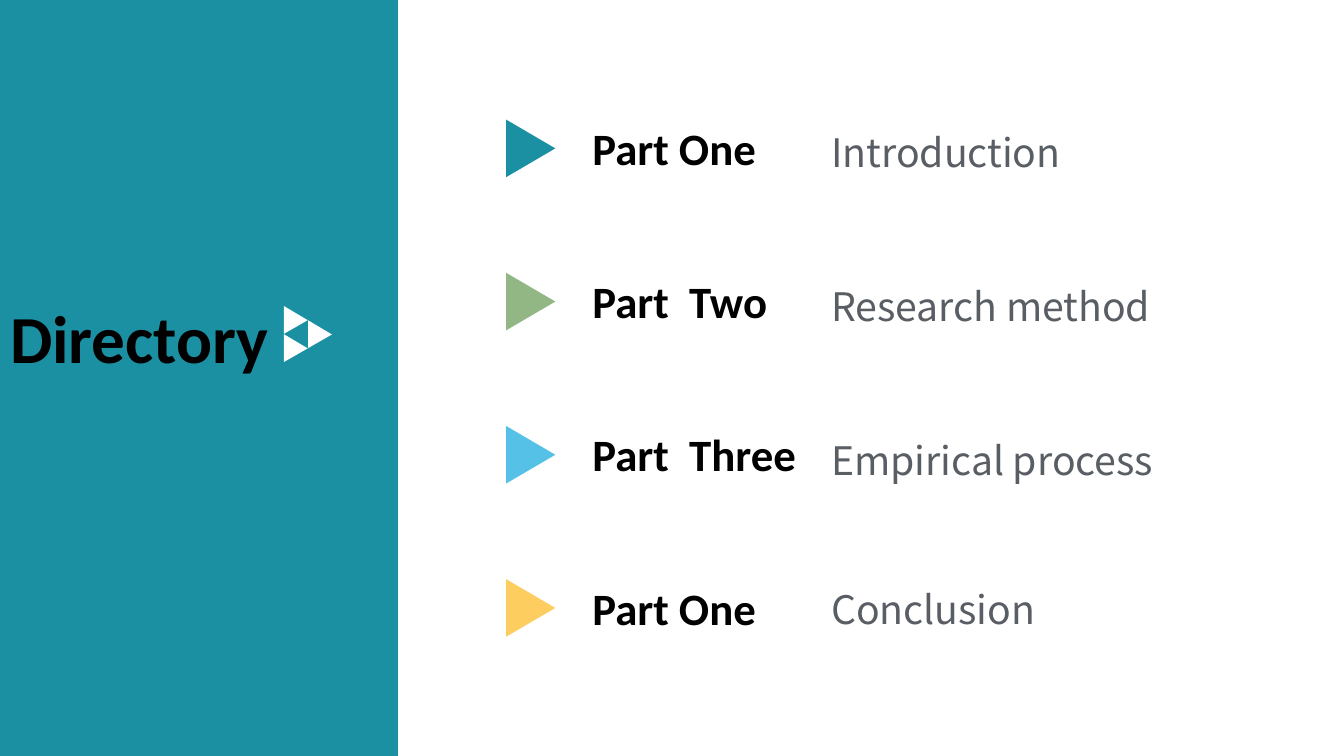
import pptx
import pptx.dml.color
import pptx.enum.shapes
import pptx.enum.text
import pptx.util

Cm = pptx.util.Cm
SHAPE = pptx.enum.shapes.MSO_SHAPE


def rgb(value):
    return pptx.dml.color.RGBColor.from_string(value)


class DirectorySlide:
    heading_font = "Calibri"
    topic_font = "Noto Sans CJK SC"
    teal = "1B90A2"
    black = "000000"
    grey = "595E64"
    white = "FFFFFF"

    def __init__(self, prs):
        self.slide = prs.slides.add_slide(prs.slide_layouts[5])

    def shape(self, kind, left, top, width, height, color, rotation=0):
        sp = self.slide.shapes.add_shape(
            kind, Cm(left), Cm(top), Cm(width), Cm(height))
        sp.rotation = rotation
        sp.shadow.inherit = False
        sp.fill.solid()
        sp.fill.fore_color.rgb = rgb(color)
        sp.line.fill.background()
        return sp

    def style_text(self, sp, text, font, size, color, bold):
        tf = sp.text_frame
        tf.text = text
        tf.word_wrap = True
        tf.auto_size = pptx.enum.text.MSO_AUTO_SIZE.SHAPE_TO_FIT_TEXT
        tf.vertical_anchor = pptx.enum.text.MSO_ANCHOR.TOP
        p = tf.paragraphs[0]
        p.alignment = pptx.enum.text.PP_ALIGN.LEFT
        r = p.runs[0]
        r.font.name = font
        r.font.size = pptx.util.Pt(size)
        r.font.bold = bold
        r.font.color.rgb = rgb(color)

    def title(self, text, left, top, width, height):
        sp = self.slide.shapes.title
        sp.left, sp.top, sp.width, sp.height = map(Cm, (left, top, width, height))
        self.style_text(sp, text, self.heading_font, 48, self.black, True)

    def text(self, text, left, top, width, height, font, size, color, bold=False):
        sp = self.slide.shapes.add_textbox(
            Cm(left), Cm(top), Cm(width), Cm(height))
        self.style_text(sp, text, font, size, color, bold)

    def side_panel(self):
        sp = self.shape(SHAPE.RECTANGLE, 0, 0, 10.03, 19.05, self.teal)
        self.slide.shapes._spTree.insert(2, sp._element)

    def emblem(self):
        for left, top in ((6.96, 7.67), (6.96, 8.38), (7.57, 8.03)):
            self.shape(SHAPE.ISOSCELES_TRIANGLE, left, top, 0.69, 0.61,
                       self.white, 330.2)

    def entry(self, row, part, topic, topic_top, color):
        offset = row * 3.86
        self.shape(SHAPE.ISOSCELES_TRIANGLE, 12.65, 3.12 + offset, 1.45, 1.24,
                   color, 90)
        self.text(part, 14.68, 2.92 + offset, 6.02, 1.63,
                  self.heading_font, 32, self.black, True)
        self.text(topic, 20.7, topic_top, 10, 1.45,
                  self.topic_font, 28, self.grey)


def main():
    prs = pptx.Presentation()
    prs.slide_width = Cm(33.87)
    prs.slide_height = Cm(19.05)

    s = DirectorySlide(prs)
    s.side_panel()
    s.title("Directory", 0, 7.34, 7.24, 2.31)
    s.emblem()

    entries = [
        ("Part One", "Introduction", 3.1, s.teal),
        ("Part  Two", "Research method", 6.99, "93B784"),
        ("Part  Three", "Empirical process", 10.87, "55C1E7"),
        ("Part One", "Conclusion", 14.63, "FDCD5F"),
    ]
    for row, entry in enumerate(entries):
        s.entry(row, *entry)

    prs.save("out.pptx")


if __name__ == "__main__":
    main()
